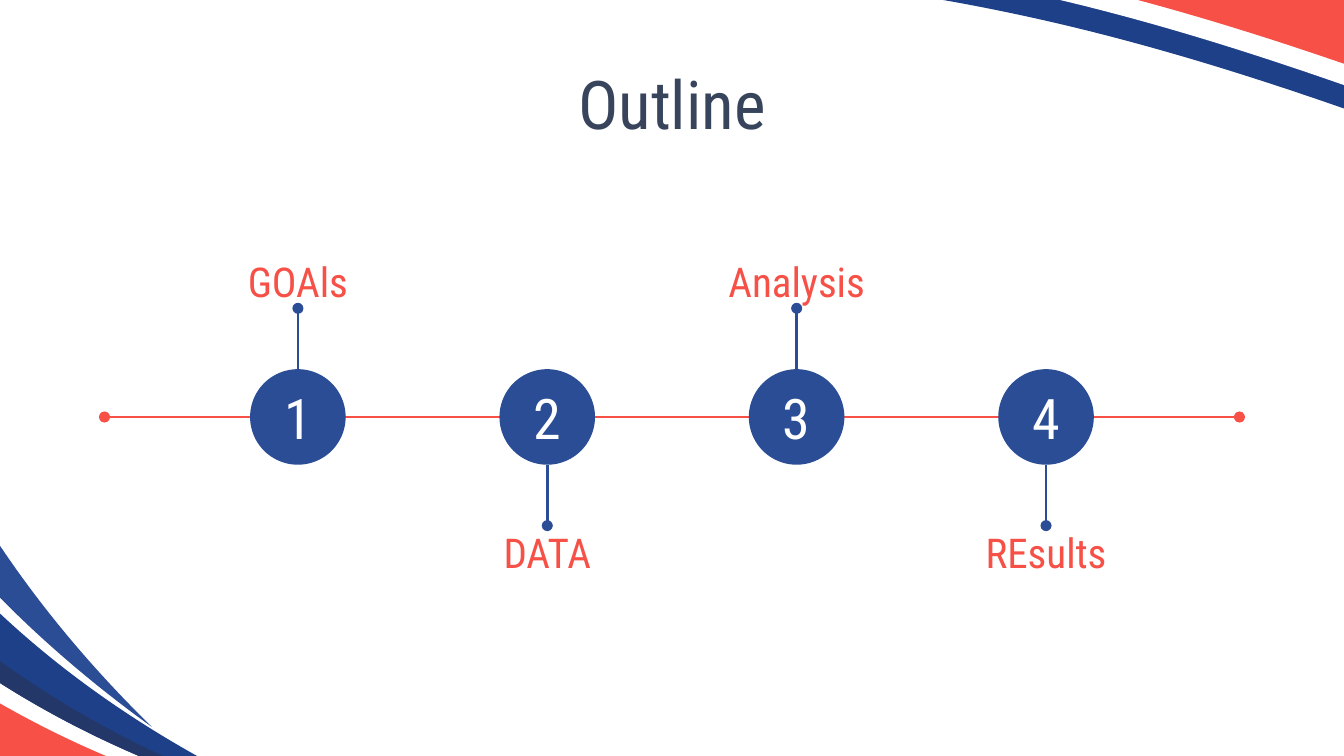
from lxml.etree import SubElement
from pptx import Presentation
from pptx.dml.color import RGBColor
from pptx.enum.shapes import MSO_CONNECTOR as CONN, MSO_SHAPE as SHAPE
from pptx.enum.text import MSO_ANCHOR as ANCHOR, MSO_AUTO_SIZE as AUTO, PP_ALIGN as ALIGN
from pptx.oxml.ns import qn
from pptx.util import Pt

CORAL = RGBColor(0xF6, 0x50, 0x47)
BLUE = RGBColor(0x2A, 0x4D, 0x95)
ROYAL = RGBColor(0x1D, 0x40, 0x89)
NAVY = RGBColor(0x23, 0x38, 0x68)
SLATE = RGBColor(0x38, 0x44, 0x5C)
WHITE = RGBColor(0xFF, 0xFF, 0xFF)
FONT = "Roboto Condensed"

STEPS = ["GOAls", "DATA", "Analysis", "REsults"]
FIRST_X, PITCH, AXIS_Y = 159.6, 133.6, 223.4
DIAMETER, REACH = 51.2, 58.2
LABEL_W, TEXT_H, NUMBER_W = 115.2, 28.8, 34.4

ROYAL_EDGE = [
    [(93.6, 418.3), (16.6, 384.5), (-46.8, 331.9)],
    [(-43.2, 315.4), (-41, 298.1), (-43.2, 282.2)],
]
SWOOSHES = [
    (CORAL, (69.8, 410.4), [
        [(-61.2, 410.4)],
        [(-60.5, 383), (-57.6, 355), (-66.2, 331.2)],
        [(-25.2, 365), (20.9, 391), (69.8, 410.4)]]),
    (BLUE, (81.4, 389.5), [
        [(14.4, 341.3), (-44.6, 280.8), (-84.2, 208.8)],
        [(-74.2, 194.4), (-65.5, 180), (-61.9, 164.2)],
        [(-35.3, 250.6), (16.6, 326.2), (81.4, 389.5)]]),
    (ROYAL, (173.5, 437.8), ROYAL_EDGE + [
        [(13, 352.1), (90, 403.2), (173.5, 437.8)]]),
    (NAVY, (173.5, 437.8), ROYAL_EDGE + [
        [(-41, 285.8), (-38.2, 288.7), (-35.3, 292.3)],
        [(-36.7, 301.7), (-38.9, 311), (-41, 321.1)],
        [(19.4, 375.8), (94.3, 414), (173.5, 437.8)]]),
    (ROYAL, (745.9, 2.9), [
        [(738, -2.9), (729.4, -7.9), (720, -11.5)],
        [(401.8, -11.5)],
        [(414.7, -10.8), (427.7, -10.1), (440.6, -8.6)],
        [(472.3, -5.8), (504, -0.7), (535.7, 5.8)],
        [(613.4, 21.6), (688.3, 46.1), (762.5, 73.4)],
        [(777.6, 51.1), (767.5, 19.4), (745.9, 2.9)]]),
    (WHITE, (748.8, -8.6), [
        [(747.4, -10.1), (745.9, -10.8), (745.2, -11.5)],
        [(510.5, -11.5)],
        [(519.8, -10.1), (529.2, -7.9), (538.6, -6.5)],
        [(615.6, 9.4), (691.2, 34.6), (765.4, 61.9)],
        [(779.8, 38.9), (769.7, 7.9), (748.8, -8.6)]]),
    (CORAL, (563, -11.5), [
        [(632.9, 4.3), (700.6, 26.6), (767.5, 51.1)],
        [(779.8, 31.7), (774, 5.8), (758.9, -11.5)]]),
]


def paint(sp, color):
    sp.shadow.inherit = False
    sp.fill.solid()
    sp.fill.fore_color.rgb = color
    sp.line.fill.background()


def bend(sp, segments):
    lines = iter(list(sp._element.iter(qn("a:lnTo"))))
    for segment in segments:
        first, *rest = [next(lines) for _ in segment]
        if rest:
            first.tag = qn("a:cubicBezTo")
        for line in rest:
            first.append(line[0])
            line.getparent().remove(line)


def add_swoosh(s, color, start, segments):
    points = [(Pt(x), Pt(y)) for segment in segments for x, y in segment]
    builder = s.shapes.build_freeform(Pt(start[0]), Pt(start[1]))
    builder.add_line_segments(points, close=True)
    sp = builder.convert_to_shape()
    bend(sp, segments)
    paint(sp, color)


def add_line(s, x1, y1, x2, y2, color, ends):
    c = s.shapes.add_connector(CONN.STRAIGHT, Pt(x1), Pt(y1), Pt(x2), Pt(y2))
    c.line.color.rgb = color
    c.line.width = Pt(1.5)
    ln = c.line._get_or_add_ln()
    for end in ends:
        SubElement(ln, qn(f"a:{end}"), type="oval")
    SubElement(c._element.spPr, qn("a:effectLst"))


def add_circle(s, x, y):
    r = DIAMETER / 2
    sp = s.shapes.add_shape(SHAPE.OVAL, Pt(x - r), Pt(y - r), Pt(DIAMETER), Pt(DIAMETER))
    paint(sp, BLUE)


def write(sp, text, size, color):
    tf = sp.text_frame
    tf.word_wrap = True
    tf.auto_size = AUTO.NONE
    tf.vertical_anchor = ANCHOR.MIDDLE
    tf.margin_left = tf.margin_right = tf.margin_top = tf.margin_bottom = 0
    p = tf.paragraphs[0]
    p.alignment = ALIGN.CENTER
    r = p.add_run()
    r.text = text
    r.font.name = FONT
    r.font.size = Pt(size)
    r.font.color.rgb = color


def add_text(s, text, x, top, w, size, color):
    sp = s.shapes.add_textbox(Pt(x - w / 2), Pt(top), Pt(w), Pt(TEXT_H))
    write(sp, text, size, color)


def set_title(s, text):
    sp = s.shapes.title
    sp.left, sp.top, sp.width, sp.height = Pt(56.7), Pt(32.4), Pt(606.6), Pt(45.4)
    write(sp, text, 36, SLATE)


def add_timeline(s):
    centers = [FIRST_X + PITCH * i for i in range(len(STEPS))]
    for i, (x, label) in enumerate(zip(centers, STEPS)):
        side = 1 if i % 2 else -1
        add_line(s, x, AXIS_Y + side * DIAMETER / 2, x, AXIS_Y + side * REACH,
                 BLUE, ["tailEnd"])
        top = AXIS_Y + REACH if side > 0 else AXIS_Y - REACH - TEXT_H
        add_text(s, label, x, top, LABEL_W, 22, CORAL)
    add_line(s, 56, AXIS_Y, 664, AXIS_Y, CORAL, ["headEnd", "tailEnd"])
    for i, x in enumerate(centers, 1):
        add_circle(s, x, AXIS_Y)
        add_text(s, str(i), x, AXIS_Y - TEXT_H / 2, NUMBER_W, 30, WHITE)


def main():
    prs = Presentation()
    prs.slide_width, prs.slide_height = Pt(720), Pt(405)
    s = prs.slides.add_slide(prs.slide_layouts[5])
    for swoosh in SWOOSHES:
        add_swoosh(s, *swoosh)
    set_title(s, "Outline")
    add_timeline(s)
    prs.save("out.pptx")


if __name__ == "__main__":
    main()
